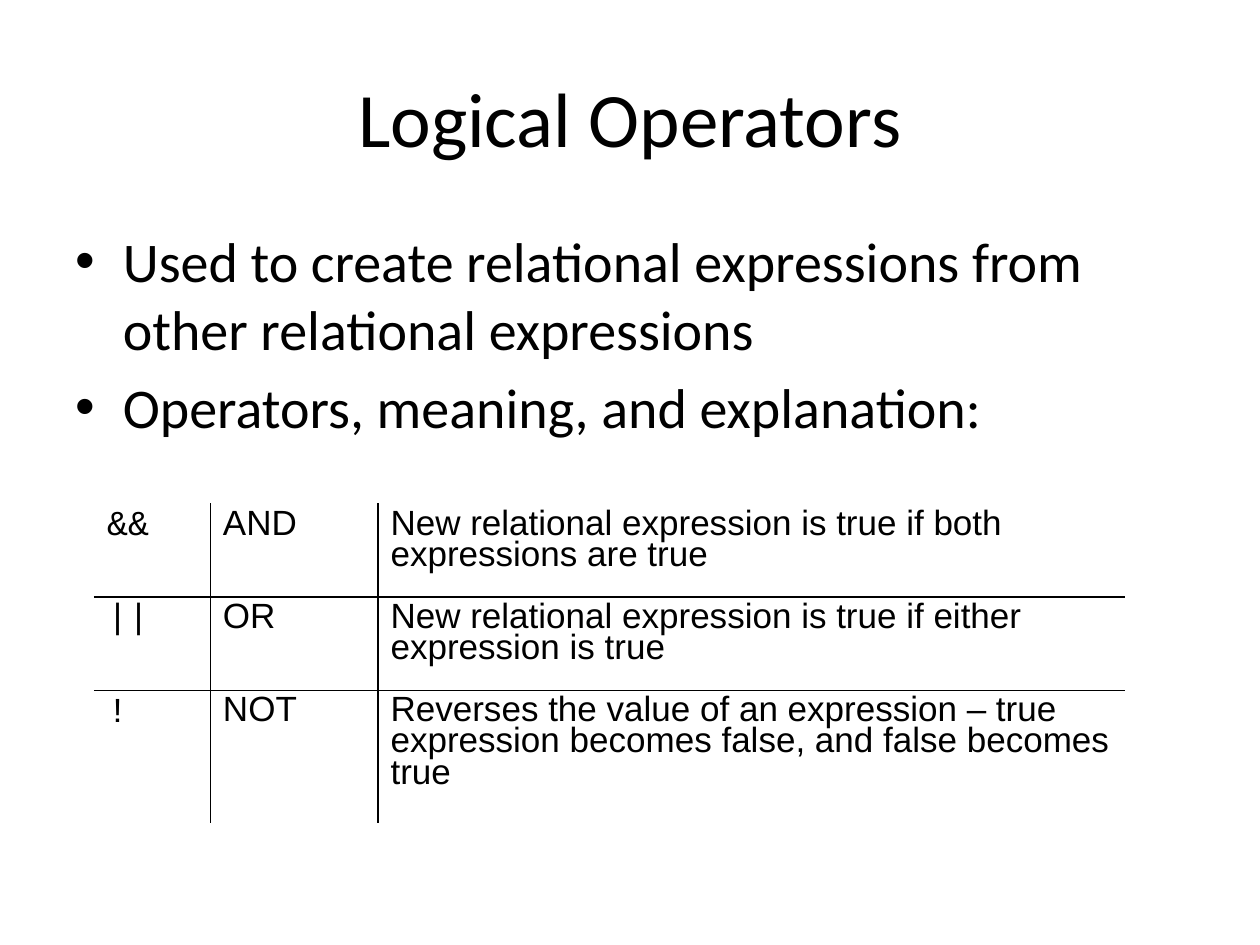
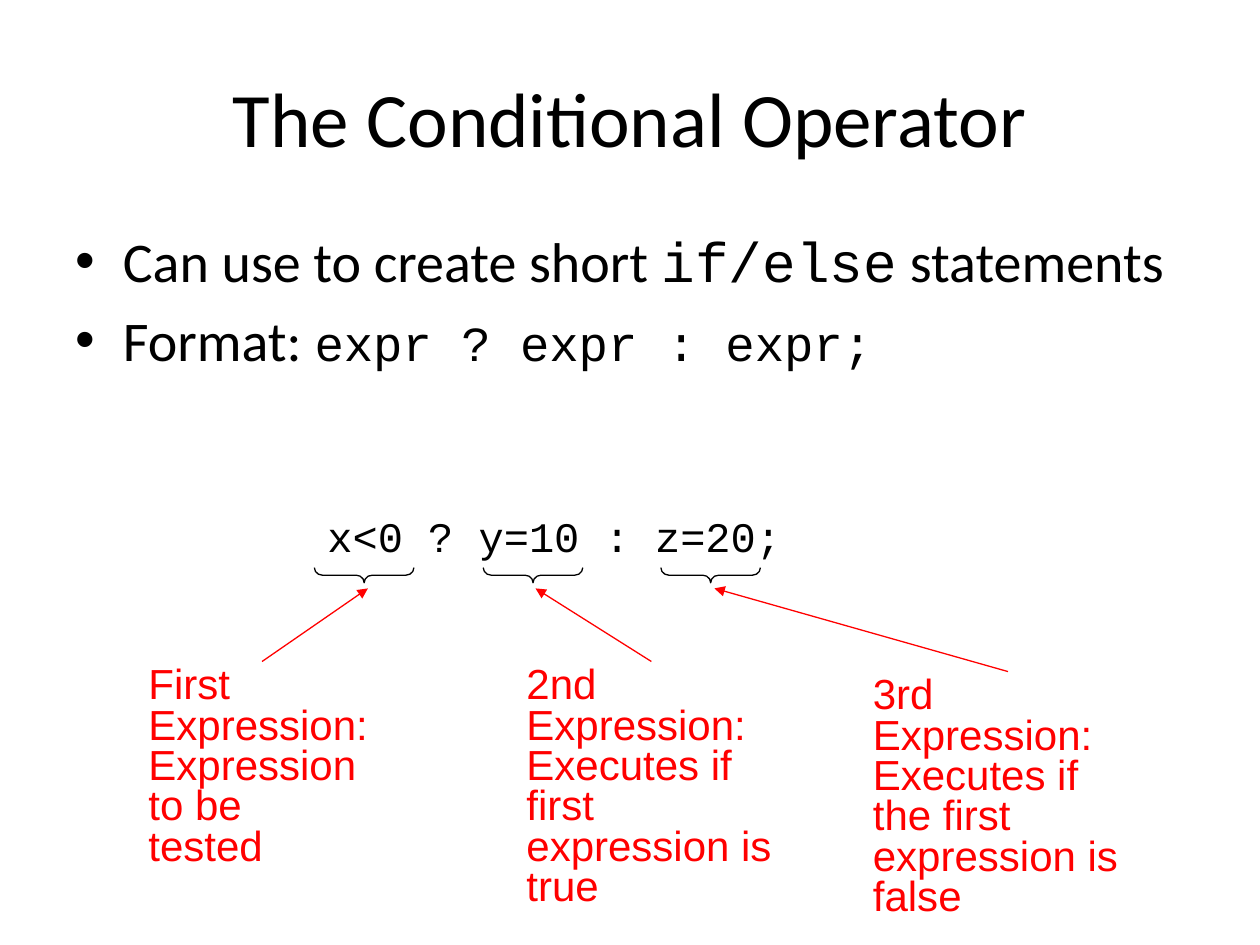
from lxml import etree
from pptx import Presentation, util as u
from pptx.dml.color import RGBColor
from pptx.enum import shapes, text
from pptx.oxml import ns

# Content
COLORS = {"ink": "000000", "accent": "FF0000"}
BODY, SANS, CODE = "Calibri", "Arial", "Courier New"

LOGICAL_TITLE = "Logical Operators"
LOGICAL_BULLETS = [
    [("Used to create relational expressions from other relational expressions", BODY, 32)],
    [("Operators, meaning, and explanation:", BODY, 32)],
]
OPERATORS = [
    ("&&", "AND", "New relational expression is true if both expressions are true"),
    ("||", "OR", "New relational expression is true if either expression is true"),
    ("!", "NOT", "Reverses the value of an expression – true expression becomes "
                 "false, and false becomes true"),
]
COLUMN_FONTS = (CODE, SANS, SANS)
COLUMN_WIDTHS = (0.92, 1.33, 5.92)
ROW_HEIGHTS = (0.74, 0.74, 1.06)

CONDITIONAL_TITLE = "The Conditional Operator"
CONDITIONAL_BULLETS = [
    [("Can use to create short ", BODY, 32), ("if/else", CODE, 32), (" statements", BODY, 32)],
    [("Format: ", BODY, 32), ("expr ? expr : expr;", CODE, 28)],
]
EXAMPLE = "x<0 ? y=10 : z=20;"
# Brace left, arrow start, arrow tip x, note left, note width, note lines
EXPRESSIONS = [
    (2.83, (2.08, 5.25), 2.92, 1.08, 2.08,
     ["First Expression:", "Expression to be", "tested"]),
    (4.17, (5.17, 5.25), 4.25, 4.08, 2.18,
     ["2nd Expression:", "Executes if first", "expression is true"]),
    (5.58, (8, 5.33), 5.67, 6.83, 2.33,
     ["3rd Expression:", "Executes if the first", "expression is false"]),
]
BRACE_TOP, BRACE_W, BRACE_H = 4.17, 0.12, 0.79
TIP_Y = 4.67


def inches(*values):
    return [u.Inches(v) for v in values]


def rgb(name):
    return RGBColor.from_string(COLORS[name])


def add_run(p, words, font, size, color="ink"):
    r = p.add_run()
    r.text = words
    r.font.name, r.font.size = font, u.Pt(size)
    r.font.color.rgb = rgb(color)


def write(tf, paragraphs, spacing=None):
    """Fill a text frame from lists of run tuples."""
    for i, runs in enumerate(paragraphs):
        p = tf.paragraphs[0] if i == 0 else tf.add_paragraph()
        if spacing:
            p.line_spacing = spacing
        for run in runs:
            add_run(p, *run)


def add_slide(prs, title, bullets):
    s = prs.slides.add_slide(prs.slide_layouts[1])
    head, body = s.shapes.title, s.placeholders[1]
    for sp, box in ((head, (0.5, 0.3, 9, 1.25)), (body, (0.5, 1.75, 9, 4.95))):
        sp.left, sp.top, sp.width, sp.height = inches(*box)
        sp.text_frame.auto_size = text.MSO_AUTO_SIZE.NONE
    write(head.text_frame, [[(title, BODY, 44)]])
    head.text_frame.paragraphs[0].alignment = text.PP_ALIGN.CENTER
    write(body.text_frame, bullets)
    return s


def add_text(s, box, paragraphs, spacing=None):
    tf = s.shapes.add_textbox(*inches(*box)).text_frame
    tf.word_wrap = True
    write(tf, paragraphs, spacing)


def set_border(cell, side):
    ln = etree.SubElement(cell._tc.get_or_add_tcPr(), ns.qn("a:ln" + side), w=str(u.Pt(1)))
    fill = etree.SubElement(ln, ns.qn("a:solidFill"))
    etree.SubElement(fill, ns.qn("a:srgbClr"), val=COLORS["ink"])


def add_operator_table(s):
    rows, cols = len(ROW_HEIGHTS), len(COLUMN_WIDTHS)
    box = inches(0.75, 4, sum(COLUMN_WIDTHS), sum(ROW_HEIGHTS))
    table = s.shapes.add_table(rows, cols, *box).table
    table.first_row = table.horz_banding = False
    for column, width in zip(table.columns, COLUMN_WIDTHS):
        column.width = u.Inches(width)
    for i, (row, height) in enumerate(zip(table.rows, ROW_HEIGHTS)):
        row.height = u.Inches(height)
        for j, cell in enumerate(row.cells):
            write(cell.text_frame, [[(OPERATORS[i][j], COLUMN_FONTS[j], 20)]], 0.8)
            # Only the inner grid lines are drawn
            inner = {"L": j > 0, "R": j < cols - 1, "T": i > 0, "B": i < rows - 1}
            for side, drawn in inner.items():
                if drawn:
                    set_border(cell, side)
            cell.fill.background()


def add_brace(s, left):
    sp = s.shapes.add_shape(shapes.MSO_SHAPE.RIGHT_BRACE,
                            *inches(left, BRACE_TOP, BRACE_W, BRACE_H))
    sp.rotation = 90
    sp.adjustments[0], sp.adjustments[1] = 0.53, 0.5
    sp.shadow.inherit = False
    sp.fill.background()
    sp.line.color.rgb, sp.line.width = rgb("ink"), u.Pt(0.75)


def add_arrow(s, start, tip):
    line = s.shapes.add_connector(shapes.MSO_CONNECTOR.STRAIGHT, *inches(*start, *tip))
    line.line.color.rgb, line.line.width = rgb("accent"), u.Pt(0.75)
    etree.SubElement(line.line._get_or_add_ln(), ns.qn("a:tailEnd"), type="triangle")
    etree.SubElement(line._element.spPr, ns.qn("a:effectLst"))


def main():
    prs = Presentation()
    prs.slide_width, prs.slide_height = inches(10, 7.5)

    # Logical operators
    s = add_slide(prs, LOGICAL_TITLE, LOGICAL_BULLETS)
    add_operator_table(s)

    # Conditional operator
    s = add_slide(prs, CONDITIONAL_TITLE, CONDITIONAL_BULLETS)
    add_text(s, (2.5, 4, 4, 0.5), [[(EXAMPLE, CODE, 24)]])
    for brace_left, start, tip_x, note_left, note_w, lines in EXPRESSIONS:
        add_brace(s, brace_left)
        add_arrow(s, start, (tip_x, TIP_Y))
        add_text(s, (note_left, start[1], note_w, 0.83),
                 [[(line, SANS, 24, "accent")] for line in lines], 0.8)

    prs.save("out.pptx")


if __name__ == "__main__":
    main()
